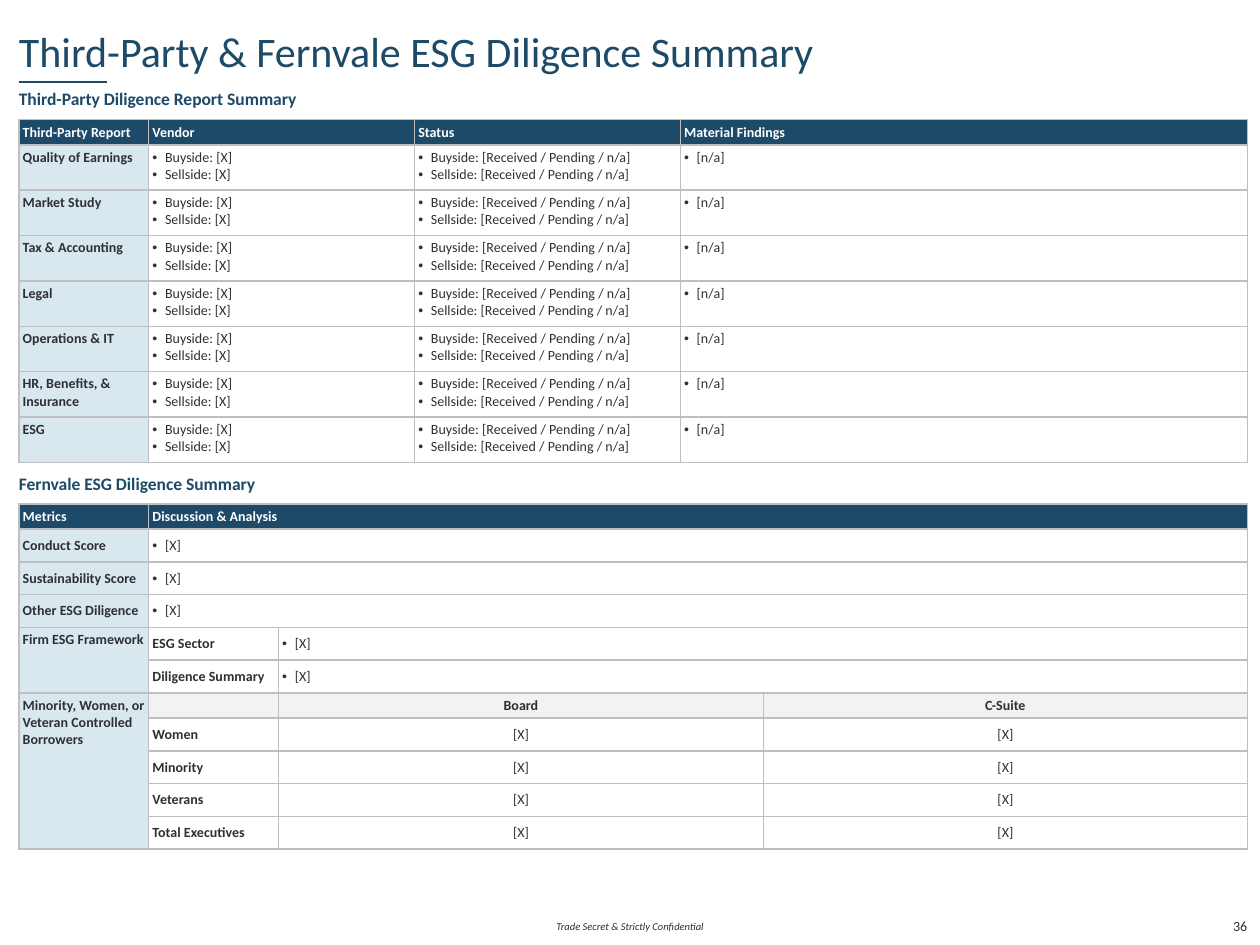
from lxml.etree import SubElement
from pptx import Presentation
from pptx.dml.color import RGBColor
from pptx.enum.text import MSO_ANCHOR, PP_ALIGN
from pptx.oxml.ns import qn
from pptx.util import Inches, Pt

NAVY, INK, WHITE = "1C4A68", "2E3035", "FFFFFF"
PALE, BAND, RULE = "D9E7EE", "F2F2F2", "BFBFBF"
FONT = "Calibri"
LEFT, WIDTH = 0.15, 9.75
TOP, MIDDLE = MSO_ANCHOR.TOP, MSO_ANCHOR.MIDDLE

TITLE = "Third-Party & Fernvale ESG Diligence Summary"
HEADINGS = [("Third-Party Diligence Report Summary", 0.7),
            ("Fernvale ESG Diligence Summary", 3.75)]
CONFIDENTIAL, PAGE = "Trade Secret & Strictly Confidential", "36"

REPORT_HEADER = ["Third-Party Report", "Vendor", "Status", "Material Findings"]
REPORTS = ["Quality of Earnings", "Market Study", "Tax & Accounting", "Legal",
           "Operations & IT", "HR, Benefits, & Insurance", "ESG"]
VENDOR = "Buyside: [X]\nSellside: [X]"
STATUS = "Buyside: [Received / Pending / n/a]\nSellside: [Received / Pending / n/a]"
FINDINGS = "[n/a]"

METRIC_HEADER = ["Metrics", "Discussion & Analysis"]
SCORES = ["Conduct Score", "Sustainability Score", "Other ESG Diligence"]
FRAMEWORK = ("Firm ESG Framework", ["ESG Sector", "Diligence Summary"])
BORROWERS = ("Minority, Women, or Veteran Controlled Borrowers",
             ["Board", "C-Suite"],
             ["Women", "Minority", "Veterans", "Total Executives"])
BLANK = "[X]"

STYLES = {
    "header": dict(fill=NAVY, color=WHITE, bold=True),
    "label": dict(fill=PALE, bold=True),
    "top_label": dict(fill=PALE, bold=True, anchor=TOP),
    "sub_label": dict(bold=True),
    "band": dict(fill=BAND, bold=True, align=PP_ALIGN.CENTER),
    "value": dict(align=PP_ALIGN.CENTER),
    "bullet": dict(bullet=True),
    "top_bullet": dict(bullet=True, anchor=TOP),
}


def rgb(code):
    return RGBColor.from_string(code)


def add_run(paragraph, text, size, color, bold=False, italic=False):
    run = paragraph.add_run()
    run.text = text
    font = run.font
    font.name, font.size, font.bold, font.italic = FONT, Pt(size), bold, italic
    font.color.rgb = rgb(color)


def fill_frame(frame, anchor):
    frame.word_wrap = True
    frame.vertical_anchor = anchor
    frame.margin_left = frame.margin_right = 0
    frame.margin_top = frame.margin_bottom = 0
    return frame.paragraphs[0]


def add_text(slide, box, text, size, color, align, anchor=MIDDLE, **look):
    frame = slide.shapes.add_textbox(*map(Inches, box)).text_frame
    paragraph = fill_frame(frame, anchor)
    paragraph.alignment = align
    add_run(paragraph, text, size, color, **look)


def prepare_cell(cell):
    cell.margin_left = cell.margin_right = Inches(0.03)
    cell.margin_top = cell.margin_bottom = Inches(0.03)
    properties = cell._tc.get_or_add_tcPr()
    for side in ("a:lnL", "a:lnR", "a:lnT", "a:lnB"):
        border = SubElement(properties, qn(side), w=str(Pt(1)))
        SubElement(SubElement(border, qn("a:solidFill")), qn("a:srgbClr"), val=RULE)
    cell.fill.background()
    SubElement(cell.text_frame.paragraphs[0]._p, qn("a:endParaRPr"), sz="800")


def write_cell(cell, text, fill=None, color=INK, bold=False, align=PP_ALIGN.LEFT,
               anchor=MIDDLE, bullet=False):
    cell.vertical_anchor = anchor
    if fill:
        cell.fill.solid()
        cell.fill.fore_color.rgb = rgb(fill)
    if not text:
        return
    for index, line in enumerate(text.split("\n")):
        frame = cell.text_frame
        paragraph = frame.add_paragraph() if index else frame.paragraphs[0]
        paragraph.alignment = align
        if bullet:
            properties = paragraph._p.get_or_add_pPr()
            properties.set("marL", str(Inches(0.1)))
            properties.set("indent", str(-Inches(0.1)))
            SubElement(properties, qn("a:buFont"), typeface="Arial")
            SubElement(properties, qn("a:buChar"), char="•")
        add_run(paragraph, line, 8, color, bold)


def add_grid(slide, top, columns, heights, entries):
    table = slide.shapes.add_table(
        len(heights), len(columns), Inches(LEFT), Inches(top),
        Inches(WIDTH), Inches(sum(heights))).table
    table.first_row = table.horz_banding = False
    for column, width in zip(table.columns, columns):
        column.width = Inches(width)
    for row, height in zip(table.rows, heights):
        row.height = Inches(height)
    for cell in table.iter_cells():
        prepare_cell(cell)
    for row, column, style, text, *span in entries:
        cell = table.cell(row, column)
        if span:
            down, across = span
            cell.merge(table.cell(row + down - 1, column + across - 1))
        write_cell(cell, text, **STYLES[style])


def report_entries():
    entries = [(0, column, "header", text) for column, text in enumerate(REPORT_HEADER)]
    for row, report in enumerate(REPORTS, 1):
        entries.append((row, 0, "top_label", report))
        entries += [(row, column, "top_bullet", text)
                    for column, text in enumerate((VENDOR, STATUS, FINDINGS), 1)]
    return entries


def metric_entries():
    entries = [(0, 0, "header", METRIC_HEADER[0]),
               (0, 1, "header", METRIC_HEADER[1], 1, 3)]
    for row, score in enumerate(SCORES, 1):
        entries += [(row, 0, "label", score), (row, 1, "bullet", BLANK, 1, 3)]
    start = 1 + len(SCORES)
    framework, parts = FRAMEWORK
    entries.append((start, 0, "top_label", framework, len(parts), 1))
    for row, part in enumerate(parts, start):
        entries += [(row, 1, "sub_label", part), (row, 2, "bullet", BLANK, 1, 2)]
    start += len(parts)
    borrowers, bodies, groups = BORROWERS
    entries.append((start, 0, "top_label", borrowers, 1 + len(groups), 1))
    entries += [(start, column, "band", body) for column, body in enumerate(["", *bodies], 1)]
    for row, group in enumerate(groups, start + 1):
        entries.append((row, 1, "sub_label", group))
        entries += [(row, column, "value", BLANK) for column in (2, 3)]
    return entries


def main():
    deck = Presentation()
    deck.slide_width, deck.slide_height = Inches(10), Inches(7.5)
    slide = deck.slides.add_slide(deck.slide_layouts[5])

    title = slide.shapes.title
    title.left, title.top, title.width, title.height = map(Inches, (LEFT, 0.15, WIDTH, 0.5))
    paragraph = fill_frame(title.text_frame, MIDDLE)
    paragraph.alignment = PP_ALIGN.LEFT
    add_run(paragraph, TITLE, 24, NAVY)

    underline = slide.shapes.add_connector(
        1, Inches(LEFT), Inches(0.65), Inches(0.85), Inches(0.65))
    underline.line.color.rgb = rgb(NAVY)
    underline.line.width = Pt(1.5)
    SubElement(underline._element.spPr, qn("a:effectLst"))

    for heading, top in HEADINGS:
        add_text(slide, (LEFT, top, WIDTH, 0.25), heading, 10, NAVY,
                 PP_ALIGN.JUSTIFY, TOP, bold=True)

    add_grid(slide, 0.95, [1.03, 2.11, 2.11, 4.5],
             [0.2] + [0.36] * len(REPORTS), report_entries())
    add_grid(slide, 4, [1.03, 1.03, 3.85, 3.84],
             [0.2] + [0.26] * 5 + [0.2] + [0.26] * 4, metric_entries())

    add_text(slide, (4.3, 7.25, 1.4, 0.2), CONFIDENTIAL, 6, INK,
             PP_ALIGN.CENTER, italic=True)
    add_text(slide, (9.6, 7.25, 0.3, 0.2), PAGE, 8, INK, PP_ALIGN.RIGHT)
    deck.save("out.pptx")


if __name__ == "__main__":
    main()
